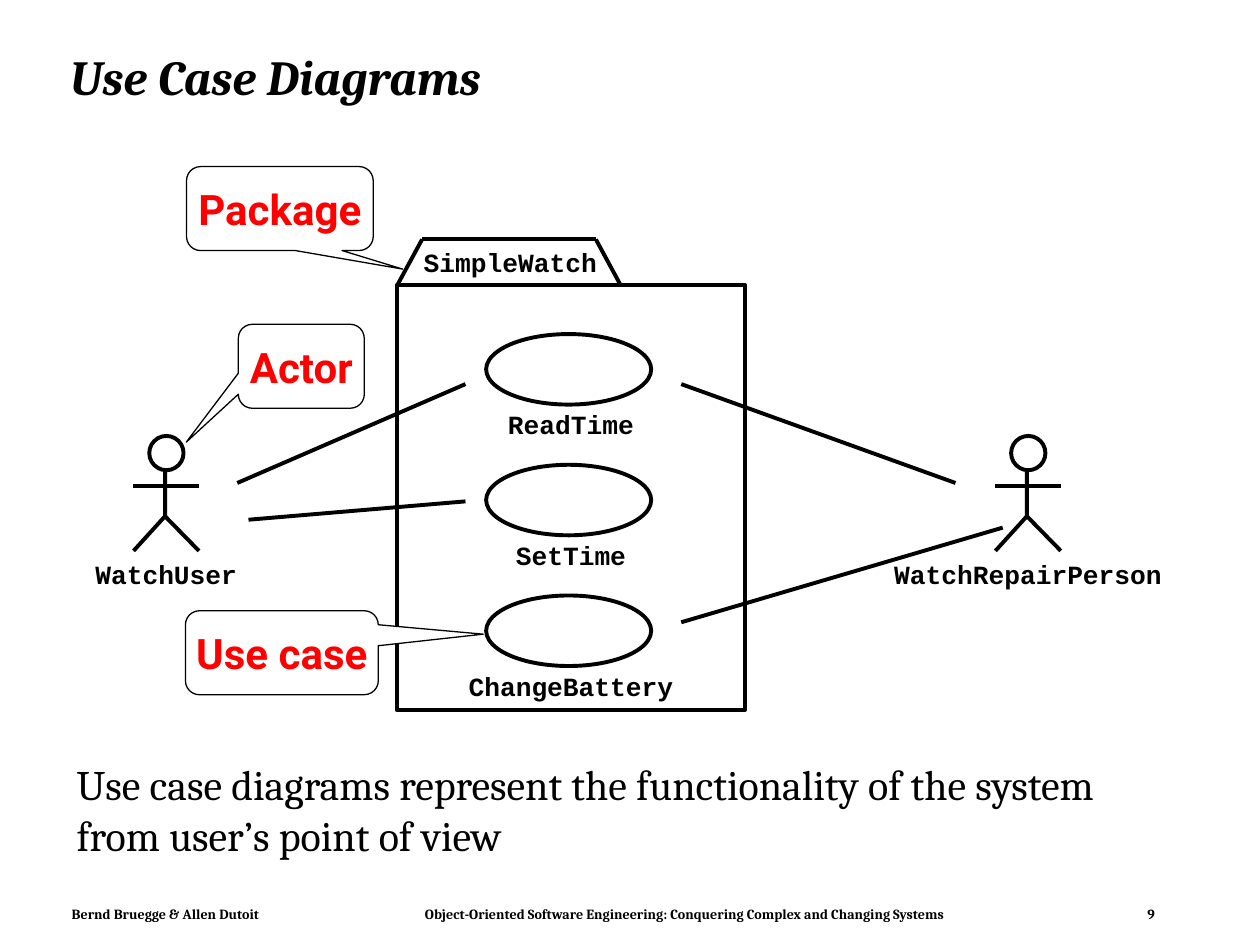
from pptx import Presentation
from pptx.dml.color import RGBColor
from pptx.enum import shapes as sh, text as tx
from pptx.util import Pt
from lxml import etree

HUES = {"ink": "000000", "paper": "FFFFFF", "note": "FF0000"}
LEFT, MID, RIGHT = tx.PP_ALIGN.LEFT, tx.PP_ALIGN.CENTER, tx.PP_ALIGN.RIGHT
TOP, HALF = tx.MSO_ANCHOR.TOP, tx.MSO_ANCHOR.MIDDLE
CODE = dict(size=15, font="Courier New", bold=True, align=MID, pad=(0, 0))

deck = Presentation()
deck.slide_width, deck.slide_height = Pt(720), Pt(540)
slide = deck.slides.add_slide(deck.slide_layouts[6])
parts = slide.shapes


def write(words, box=None, shape=None, size=24, font="Cambria", hue="ink",
          bold=False, slant=False, align=LEFT, anchor=TOP, pad=(7.2, 3.6),
          wrap=False, lead=None):
    """Put words, one paragraph a line, in a shape or in a new box (x, y, w, h)."""
    shape = shape or parts.add_textbox(*map(Pt, box))
    frame = shape.text_frame
    frame.word_wrap, frame.vertical_anchor = wrap, anchor
    frame.margin_left = frame.margin_right = Pt(pad[0])
    frame.margin_top = frame.margin_bottom = Pt(pad[1])
    frame.text = words
    for par in frame.paragraphs:
        par.alignment = align
        if lead:
            par.line_spacing = lead
        par.font.size, par.font.name = Pt(size), font
        par.font.bold, par.font.italic = bold, slant
        par.font.color.rgb = RGBColor.from_string(HUES[hue])


def draw(kind, box, width=2.25, fill=None):
    """Draw a preset shape in box, or a line through a list of points if kind is None."""
    if kind is not None:
        shape = parts.add_shape(kind, *map(Pt, box))
    elif len(box) == 2:
        ends = [Pt(v) for point in box for v in point]
        shape = parts.add_connector(sh.MSO_CONNECTOR.STRAIGHT, *ends)
        etree.SubElement(shape._element.spPr,
                         "{http://schemas.openxmlformats.org/drawingml/2006/main}effectLst")
    else:
        points = [(Pt(x), Pt(y)) for x, y in box]
        pen = parts.build_freeform(*points[0])
        pen.add_line_segments(points[1:], close=False)
        shape = pen.convert_to_shape()
    shape.line.width = Pt(width)
    shape.line.color.rgb = RGBColor.from_string(HUES["ink"])
    if kind is not None or len(box) > 2:
        shape.shadow.inherit = False
        if fill:
            shape.fill.solid()
            shape.fill.fore_color.rgb = RGBColor.from_string(HUES[fill])
        else:
            shape.fill.background()
    return shape


# Title, message and footer
write("Use Case Diagrams", (33, 17.5, 642, 55.5), size=28, bold=True,
      slant=True, anchor=HALF, wrap=True, lead=0.9)
write("Use case diagrams represent the functionality of the system\n"
      "from user’s point of view", (36.7, 430, 645, 65), wrap=True)
for words, left, wide, align in [
    ("Bernd Bruegge & Allen Dutoit", 35.2, 160, LEFT),
    ("Object-Oriented Software Engineering: Conquering Complex and Changing Systems",
     221.5, 340, MID),
    ("9", 625, 40.7, RIGHT),
]:
    write(words, (left, 514.8, wide, 15), size=8, bold=True, align=align,
          pad=(5.8, 2.9), wrap=True)

# Actors
for name, left in [("WatchUser", 76.3), ("WatchRepairPerson", 568.8)]:
    spine = left + 18
    draw(None, [(spine, 263), (spine, 295), (left, 314.8)])
    draw(None, [(spine, 295), (left + 37.4, 314.8)])
    draw(None, [(left, 277.5), (left + 37.4, 277.5)])
    draw(sh.MSO_SHAPE.OVAL, (left + 9, 249.1, 19.6, 19.6), fill="paper")
    write(name, (left - 57.8, 319, 153, 18), **CODE)

# Package with its tab
draw(sh.MSO_SHAPE.RECTANGLE, (226.8, 162.8, 198.8, 243))
tab = [(227.3, 162.5), (241.2, 136.8), (340.5, 136.8), (354.4, 162.5)]
for ends in zip(tab, tab[1:]):
    draw(None, ends)
write("SimpleWatch", (234.7, 140.5, 113.8, 18), **CODE)

# Use cases
for row, name in enumerate(["ReadTime", "SetTime", "ChangeBattery"]):
    top = 190.9 + 74.7 * row
    draw(sh.MSO_SHAPE.OVAL, (277.8, top, 94.3, 40.3))
    write(name, (267.8, top + 42.6, 117, 18), **CODE)

# Links between actors and use cases
for ends in [
    [(135.6, 276), (266, 219.5)],
    [(142, 297), (266, 286.5)],
    [(389.3, 219.5), (546, 276)],
    [(389.3, 355.6), (573, 301.5)],
]:
    draw(None, ends)

# Callouts
for words, box, tip in [
    ("Actor", (136.2, 185.3, 72, 48), (-0.913, 0.904)),
    ("Use case", (106, 349, 110.2, 48), (1.044, -0.221)),
    ("Package", (106.6, 95.2, 106.7, 48), (0.658, 0.721)),
]:
    bubble = draw(sh.MSO_SHAPE.ROUNDED_RECTANGULAR_CALLOUT, box, 0.75, "paper")
    bubble.adjustments[0], bubble.adjustments[1] = tip
    write(words, shape=bubble, font="Roboto", hue="note", bold=True,
          align=MID, anchor=HALF)

deck.save("out.pptx")
